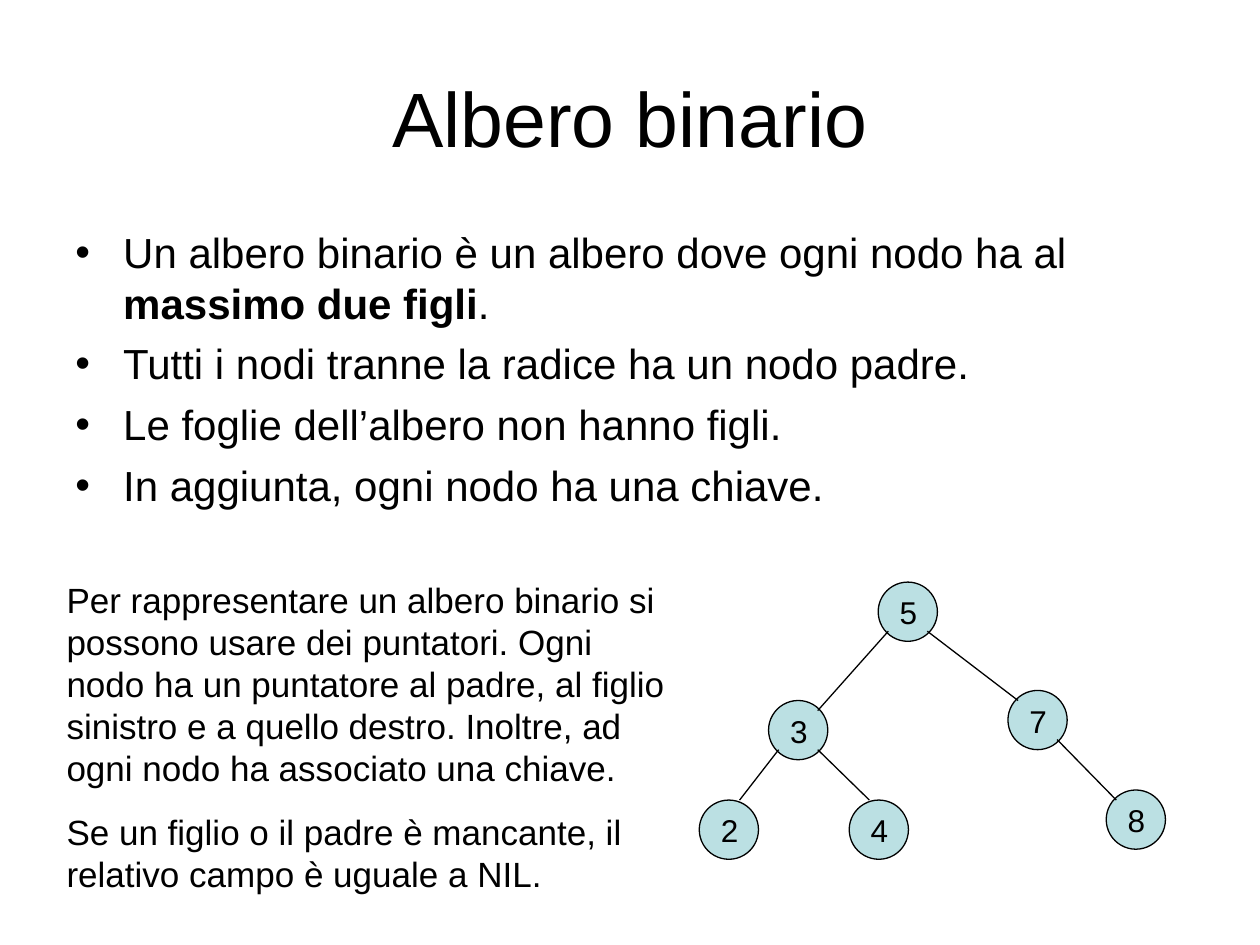
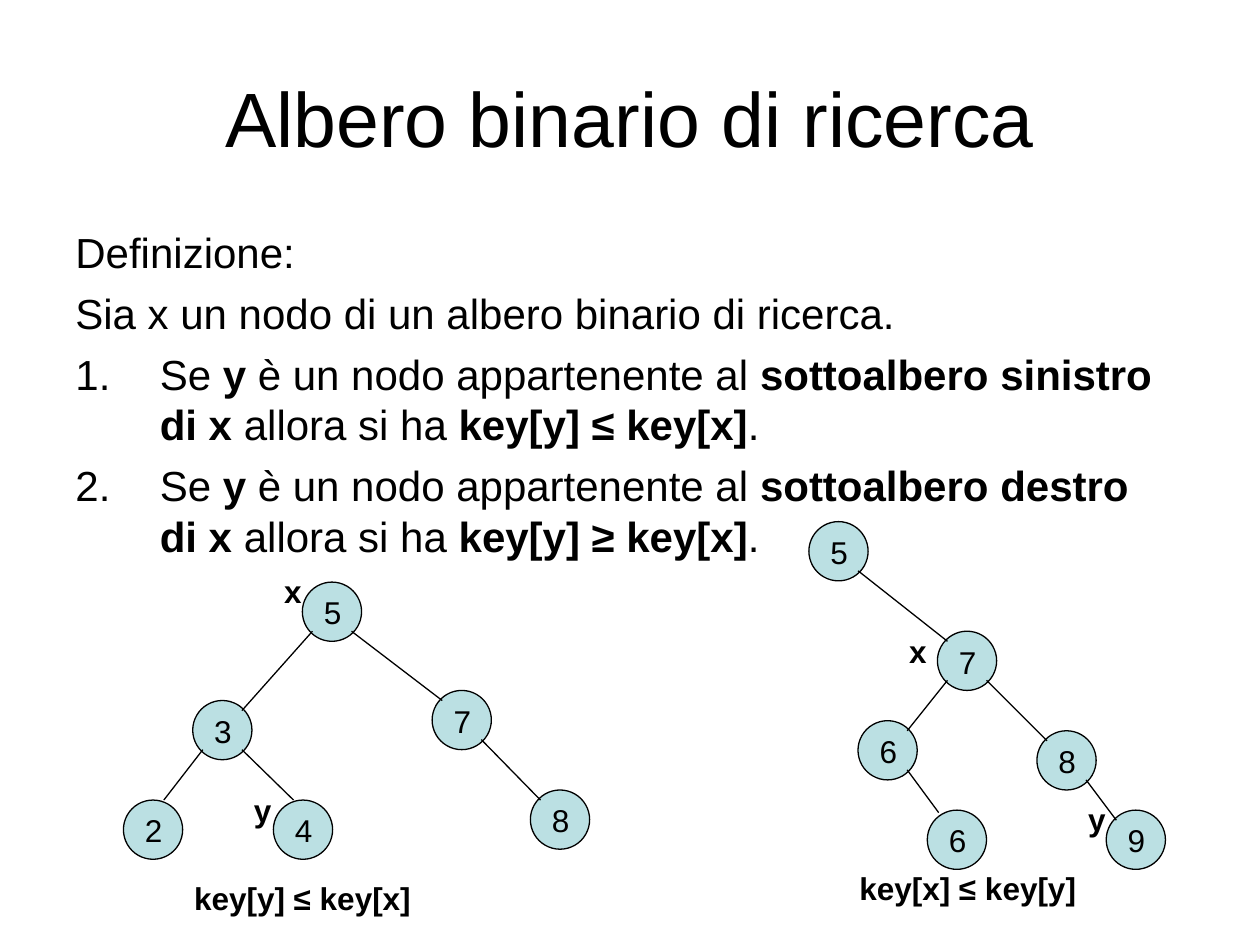
import lxml.etree
import pptx
import pptx.dml.color
import pptx.enum.shapes
import pptx.enum.text
import pptx.oxml.ns
import pptx.util

Inches = pptx.util.Inches
Pt = pptx.util.Pt
ALIGN = pptx.enum.text.PP_ALIGN
ANCHOR = pptx.enum.text.MSO_ANCHOR
GROW = pptx.enum.text.MSO_AUTO_SIZE.SHAPE_TO_FIT_TEXT

# Shared style
FONT = "Arial"
BLACK = "000000"
AQUA = "BBE0E3"
SIZE = 0.47  # node diameter
NEAR, FAR = 0.08, 0.39  # where edges touch a node's box
TIGHT = dict.fromkeys(
    ("margin_left", "margin_right", "margin_top", "margin_bottom"), 0)

# Trees: nodes are name: (text, left, top); edges are (parent, child, side),
# with an end point inside the child's box where it is not the usual corner
MAIN = {
    "root": ("5", 2.4, 4.62),
    "right": ("7", 3.43, 5.48),
    "inner": ("4", 2.17, 6.35),
    "outer": ("2", 0.98, 6.35),
    "left": ("3", 1.53, 5.56),
    "last": ("8", 4.21, 6.27),
}
MAIN_EDGES = [
    ("root", "left", "L"),
    ("left", "outer", "L", (0.32, 0)),
    ("root", "right", "R"),
    ("left", "inner", "R", (0.16, 0)),
    ("right", "last", "R"),
]
SIDE = {
    "root": ("5", 6.42, 4.14),
    "top": ("7", 7.44, 5.01),
    "left": ("6", 6.81, 5.72),
    "right": ("8", 8.23, 5.8),
    "inner": ("6", 7.36, 6.43),
    "last": ("9", 8.78, 6.43),
}
SIDE_EDGES = [
    ("root", "top", "R"),
    ("top", "right", "R"),
    ("top", "left", "L"),
    ("left", "inner", "R", (0.09, 0.02)),
    ("right", "last", "R"),
]

# Wording: *stars* mark bold; each body line has its list mark
TREE_TEXT = [
    ("dot", "Un albero binario è un albero dove ogni nodo ha al "
            "*massimo due figli*."),
    ("dot", "Tutti i nodi tranne la radice ha un nodo padre."),
    ("dot", "Le foglie dell’albero non hanno figli."),
    ("dot", "In aggiunta, ogni nodo ha una chiave."),
]
SEARCH_TEXT = [
    (None, "Definizione:"),
    (None, "Sia x un nodo di un albero binario di ricerca."),
    ("num", "Se *y* è un nodo appartenente al *sottoalbero sinistro di x* "
            "allora si ha *key[y] ≤ key[x]*."),
    ("num", "Se *y* è un nodo appartenente al *sottoalbero destro di x* "
            "allora si ha* key[y] ≥ key[x]*."),
]
NOTE = [
    "Per rappresentare un albero binario si possono usare dei puntatori. "
    "Ogni nodo ha un puntatore al padre, al figlio sinistro e a quello "
    "destro. Inoltre, ad ogni nodo ha associato una chiave.",
    "Se un figlio o il padre è mancante, il relativo campo è uguale a NIL.",
]


def color(code):
    return pptx.dml.color.RGBColor.from_string(code)


def apply(target, values):
    for name, value in values.items():
        setattr(target, name, value)


def add_tag(parent, tag, **attrs):
    return lxml.etree.SubElement(parent, pptx.oxml.ns.qn(tag), **attrs)


def add_text(slide, box, lines, size, frame=None, para=None):
    """Add a text box; return its paragraphs."""
    area = slide.shapes.add_textbox(*map(Inches, box)).text_frame
    apply(area, {"word_wrap": True, **(frame or {})})
    for index, line in enumerate(lines):
        item = area.add_paragraph() if index else area.paragraphs[0]
        apply(item, para or {})
        for part, words in enumerate(line.split("*")):
            if words:
                run = item.add_run()
                run.text = words
                apply(run.font, {"name": FONT, "size": Pt(size),
                                 "bold": part % 2 == 1})
                run.font.color.rgb = color(BLACK)
    return area.paragraphs


def add_title(slide, text):
    add_text(slide, (0.5, 0.3, 9, 1.25), [text], 44,
             {"vertical_anchor": ANCHOR.MIDDLE}, {"alignment": ALIGN.CENTER})


def add_body(slide, width, height, indent, items):
    lines = [text for _, text in items]
    paras = add_text(slide, (0.5, 1.75, width, height), lines, 24,
                     para={"space_before": Pt(6)})
    for para, (mark, _) in zip(paras, items):
        props = para._p.get_or_add_pPr()
        props.set("marL", str(Inches(indent)))
        props.set("indent", str(-Inches(indent)))
        if mark:
            add_tag(props, "a:buFont", typeface=FONT)
        if mark == "dot":
            add_tag(props, "a:buChar", char="•")
        elif mark == "num":
            add_tag(props, "a:buAutoNum", type="arabicPeriod")


def add_label(slide, text, left, top, width=0.31, anchor=ANCHOR.TOP):
    add_text(slide, (left, top, width, 0.3), [text], 18,
             {**TIGHT, "vertical_anchor": anchor, "auto_size": GROW},
             {"alignment": ALIGN.CENTER, "space_before": Pt(11.2)})


def set_line(line):
    line.color.rgb = color(BLACK)
    line.width = Pt(0.75)


def add_node(slide, text, left, top):
    oval = slide.shapes.add_shape(
        pptx.enum.shapes.MSO_SHAPE.OVAL,
        *map(Inches, (left, top, SIZE, SIZE)))
    oval.shadow.inherit = False
    oval.fill.solid()
    oval.fill.fore_color.rgb = color(AQUA)
    set_line(oval.line)
    add_label(slide, text, left + 0.08, top + 0.09, 0.32, ANCHOR.MIDDLE)


def add_edge(slide, start, end):
    edge = slide.shapes.add_connector(
        pptx.enum.shapes.MSO_CONNECTOR.STRAIGHT, *map(Inches, start + end))
    set_line(edge.line)
    add_tag(edge._element.spPr, "a:effectLst")


def add_tree(slide, nodes, edges, shift=0):
    spots = {}
    for name, (text, left, top) in nodes.items():
        spots[name] = (left + shift, top)
        add_node(slide, text, *spots[name])
    for parent, child, side, *tip in edges:
        out, into = (NEAR, FAR) if side == "L" else (FAR, NEAR)
        dx, dy = tip[0] if tip else (into, NEAR)
        (x, y), (cx, cy) = spots[parent], spots[child]
        add_edge(slide, (x + out, y + FAR), (cx + dx, cy + dy))


def main():
    deck = pptx.Presentation()
    deck.slide_width, deck.slide_height = Inches(10), Inches(7.5)
    blank = deck.slide_layouts[6]

    # Binary tree
    slide = deck.slides.add_slide(blank)
    add_title(slide, "Albero binario")
    add_body(slide, 9, 2.47, 0.38, TREE_TEXT)
    add_tree(slide, MAIN, MAIN_EDGES, 4.57)
    add_text(slide, (0.43, 4.54, 5.04, 2.61), NOTE, 20,
             {"auto_size": GROW}, {"space_before": Pt(12.5)})

    # Binary search tree
    slide = deck.slides.add_slide(blank)
    add_title(slide, "Albero binario di ricerca")
    add_body(slide, 8.91, 3.02, 0.67, SEARCH_TEXT)
    add_tree(slide, MAIN, MAIN_EDGES)
    add_tree(slide, SIDE, SIDE_EDGES)
    for text, left, top in (("x", 2.17, 4.54), ("x", 7.13, 5.02),
                            ("y", 1.93, 6.28), ("y", 8.55, 6.35)):
        add_label(slide, f"*{text}*", left, top)
    add_label(slide, "*key[y] ≤ key[x]*", 1.14, 6.98, 2.52)
    add_label(slide, "*key[x] ≤ key[y]*", 6.42, 6.9, 2.52)

    deck.save("out.pptx")


if __name__ == "__main__":
    main()
